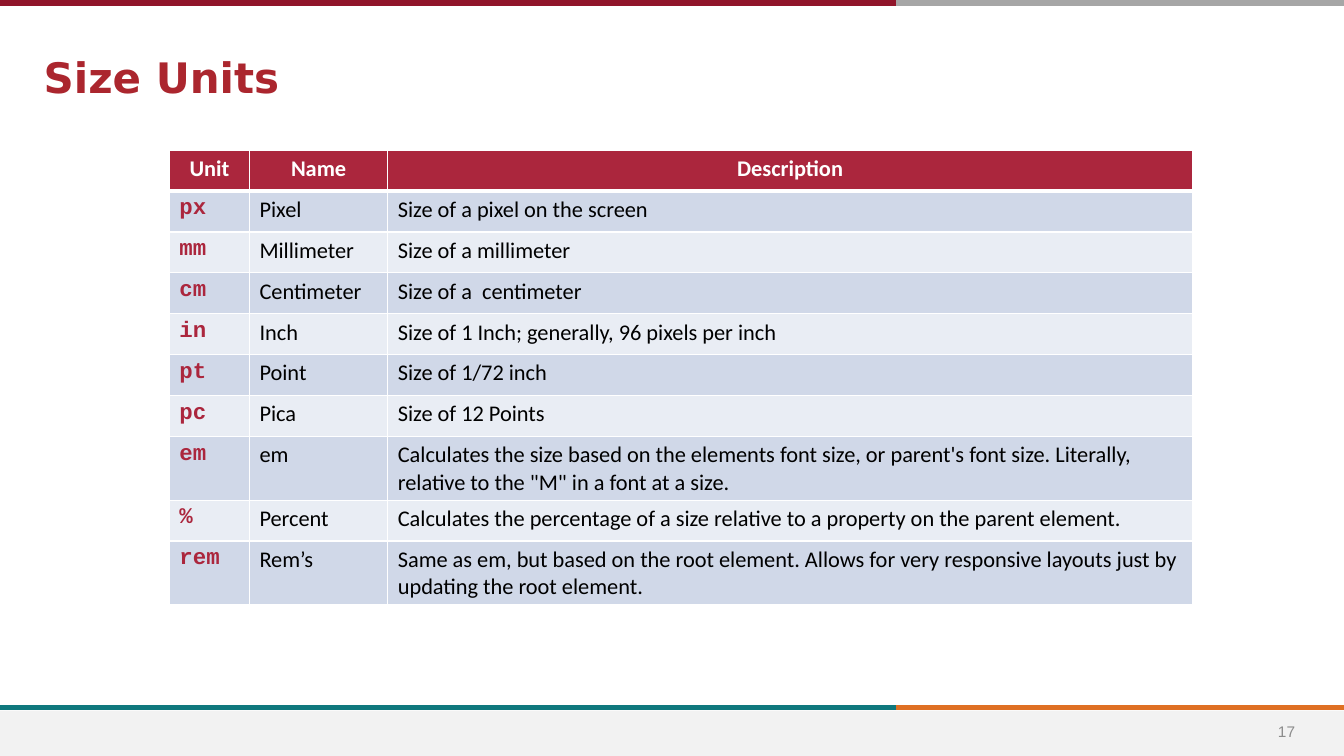
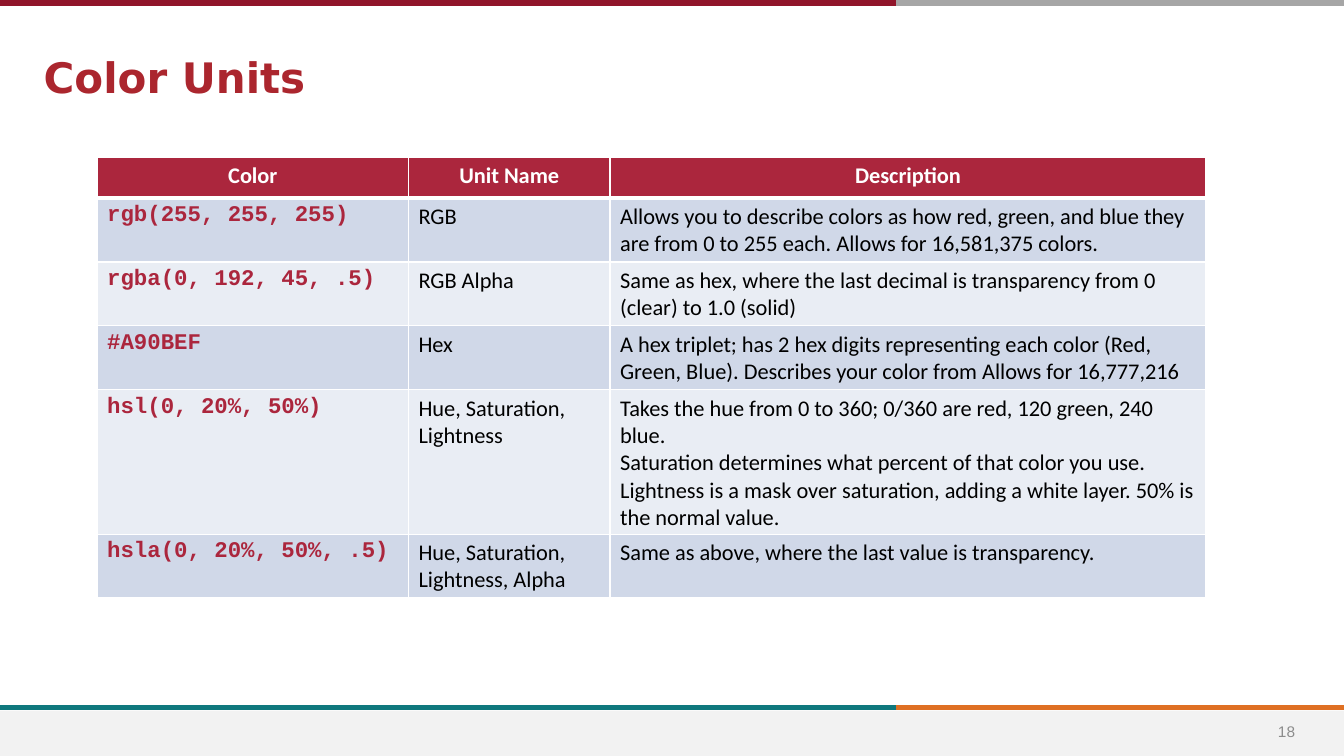
import pptx
import pptx.dml.color
import pptx.enum.shapes
import pptx.enum.text
import pptx.oxml
import pptx.oxml.ns
import pptx.util

Pt = pptx.util.Pt
ALIGN = pptx.enum.text.PP_ALIGN
ANCHOR = pptx.enum.text.MSO_ANCHOR

SLIDE_WIDTH, SLIDE_HEIGHT = 960, 540
BAND_SPLIT = 640
FOOTER_TOP = 507.6
ROW_HEIGHT = 29.2

COLORS = {
    "title": "AB262E",
    "header": "AB263D",
    "header_text": "FFFFFF",
    "code": "AB263D",
    "text": "000000",
    "row_odd": "D0D8E8",
    "row_even": "E9EDF4",
    "border": "FFFFFF",
    "footer": "F2F2F2",
    "number": "8C8C8C",
    "top_left": "90152A",
    "top_right": "A6A6A6",
    "bottom_left": "0F787D",
    "bottom_right": "DF7023",
}

SIZE_UNITS = [
    ("Unit", "Name", "Description"),
    ("px", "Pixel", "Size of a pixel on the screen"),
    ("mm", "Millimeter", "Size of a millimeter"),
    ("cm", "Centimeter", "Size of a  centimeter"),
    ("in", "Inch", "Size of 1 Inch; generally, 96 pixels per inch"),
    ("pt", "Point", "Size of 1/72 inch"),
    ("pc", "Pica", "Size of 12 Points"),
    ("em", "em", "Calculates the size based on the elements font size, or parent's "
     "font size. Literally, relative to the \"M\" in a font at a size."),
    ("%", "Percent", "Calculates the percentage of a size relative to a property "
     "on the parent element."),
    ("rem", "Rem’s", "Same as em, but based on the root element. Allows for very "
     "responsive layouts just by updating the root element."),
]

COLOR_UNITS = [
    ("Color", "Unit Name", "Description"),
    ("rgb(255, 255, 255)", "RGB", "Allows you to describe colors as how red, green, "
     "and blue they are from 0 to 255 each. Allows for 16,581,375 colors."),
    ("rgba(0, 192, 45, .5)", "RGB Alpha", "Same as hex, where the last decimal is "
     "transparency from 0 (clear) to 1.0 (solid)"),
    ("#A90BEF", "Hex", "A hex triplet; has 2 hex digits representing each color "
     "(Red, Green, Blue). Describes your color from Allows for 16,777,216"),
    ("hsl(0, 20%, 50%)", "Hue, Saturation, Lightness",
     "Takes the hue from 0 to 360; 0/360 are red, 120 green, 240 blue.\n"
     "Saturation determines what percent of that color you use.\n"
     "Lightness is a mask over saturation, adding a white layer. "
     "50% is the normal value."),
    ("hsla(0, 20%, 50%, .5)", "Hue, Saturation, Lightness, Alpha",
     "Same as above, where the last value is transparency."),
]


def rgb(name):
    return pptx.dml.color.RGBColor.from_string(COLORS[name])


def format_text(text_frame, font_name, size, color, bold=False, align=ALIGN.LEFT):
    for paragraph in text_frame.paragraphs:
        paragraph.alignment = align
        for run in paragraph.runs:
            run.font.name = font_name
            run.font.size = Pt(size)
            run.font.bold = bold
            run.font.color.rgb = rgb(color)


# Shared parts
def add_band(slide, left, right, y, color):
    band = slide.shapes.add_connector(
        pptx.enum.shapes.MSO_CONNECTOR.STRAIGHT, Pt(left), Pt(y), Pt(right), Pt(y))
    band.line.color.rgb = rgb(color)
    band.line.width = Pt(4)
    properties = band.element.find(pptx.oxml.ns.qn("p:spPr"))
    properties.append(pptx.oxml.parse_xml(
        f"<a:effectLst {pptx.oxml.ns.nsdecls('a')}/>"))
    return band


def add_footer(slide):
    footer = slide.shapes.add_shape(
        pptx.enum.shapes.MSO_SHAPE.RECTANGLE, 0, Pt(FOOTER_TOP),
        Pt(SLIDE_WIDTH), Pt(SLIDE_HEIGHT - FOOTER_TOP))
    footer.shadow.inherit = False
    footer.fill.solid()
    footer.fill.fore_color.rgb = rgb("footer")
    footer.line.fill.background()
    return footer


def move_to_layout(layout, shapes):
    """Place the shapes behind the layout's placeholders, in order."""
    tree = layout.shapes.element
    for index, shape in enumerate(shapes):
        shape.element.xpath(".//p:cNvPr")[0].set("id", str(100 + index))
        tree.insert(2 + index, shape.element)


def prepare_layout(layout, slide):
    title = layout.placeholders[0]
    title.left, title.top = Pt(24), Pt(33)
    title.width, title.height = Pt(767), Pt(42.5)
    shapes = [add_footer(slide)]
    for edge, y in (("bottom", 505.4), ("top", 2)):
        shapes.append(add_band(slide, BAND_SPLIT, SLIDE_WIDTH, y, f"{edge}_right"))
        shapes.append(add_band(slide, 0, BAND_SPLIT, y, f"{edge}_left"))
    move_to_layout(layout, shapes)


# Slide parts
def set_title(slide, text):
    text_frame = slide.shapes.title.text_frame
    text_frame.text = text
    text_frame.auto_size = pptx.enum.text.MSO_AUTO_SIZE.NONE
    text_frame.vertical_anchor = ANCHOR.TOP
    format_text(text_frame, "DejaVu Sans", 30, "title", bold=True)


def add_number(slide, number):
    box = slide.shapes.add_textbox(Pt(894), Pt(FOOTER_TOP), Pt(50), Pt(29))
    text_frame = box.text_frame
    text_frame.word_wrap = True
    text_frame.vertical_anchor = ANCHOR.MIDDLE
    text_frame.text = str(number)
    format_text(text_frame, "Arial", 11, "number", align=ALIGN.CENTER)


def set_borders(cell, top, bottom):
    properties = cell._tc.get_or_add_tcPr()
    for side, width in (("L", 1), ("R", 1), ("T", top), ("B", bottom)):
        properties.append(pptx.oxml.parse_xml(
            f'<a:ln{side} {pptx.oxml.ns.nsdecls("a")} w="{Pt(width)}"><a:solidFill>'
            f'<a:srgbClr val="{COLORS["border"]}"/></a:solidFill></a:ln{side}>'))


def fill_cell(cell, text, row, column):
    set_borders(cell, top=3 if row == 1 else 1, bottom=3 if row == 0 else 1)
    cell.fill.solid()
    cell.text_frame.text = text
    if row == 0:
        cell.fill.fore_color.rgb = rgb("header")
        format_text(cell.text_frame, "Calibri", 16, "header_text", True, ALIGN.CENTER)
        return
    cell.fill.fore_color.rgb = rgb("row_odd" if row % 2 else "row_even")
    if column == 0:
        format_text(cell.text_frame, "Courier New", 16, "code", bold=True)
    else:
        format_text(cell.text_frame, "Calibri", 16, "text")


def add_unit_table(slide, left, top, widths, rows):
    table = slide.shapes.add_table(
        len(rows), len(widths), Pt(left), Pt(top),
        Pt(sum(widths)), Pt(ROW_HEIGHT * len(rows))).table
    for column, width in zip(table.columns, widths):
        column.width = Pt(width)
    for row, texts in enumerate(rows):
        table.rows[row].height = Pt(ROW_HEIGHT)
        for column, text in enumerate(texts):
            fill_cell(table.cell(row, column), text, row, column)


def main():
    presentation = pptx.Presentation()
    presentation.slide_width = Pt(SLIDE_WIDTH)
    presentation.slide_height = Pt(SLIDE_HEIGHT)
    layout = presentation.slide_layouts.get_by_name("Title Only")

    # Size units
    size_slide = presentation.slides.add_slide(layout)
    prepare_layout(layout, size_slide)
    set_title(size_slide, "Size Units")
    add_number(size_slide, 17)
    add_unit_table(size_slide, 121, 107.3, (57.2, 98.8, 574.8), SIZE_UNITS)

    # Color units
    color_slide = presentation.slides.add_slide(layout)
    set_title(color_slide, "Color Units")
    add_number(color_slide, 18)
    add_unit_table(color_slide, 69.4, 112.3, (222.4, 144, 425.6), COLOR_UNITS)

    presentation.save("out.pptx")


if __name__ == "__main__":
    main()
